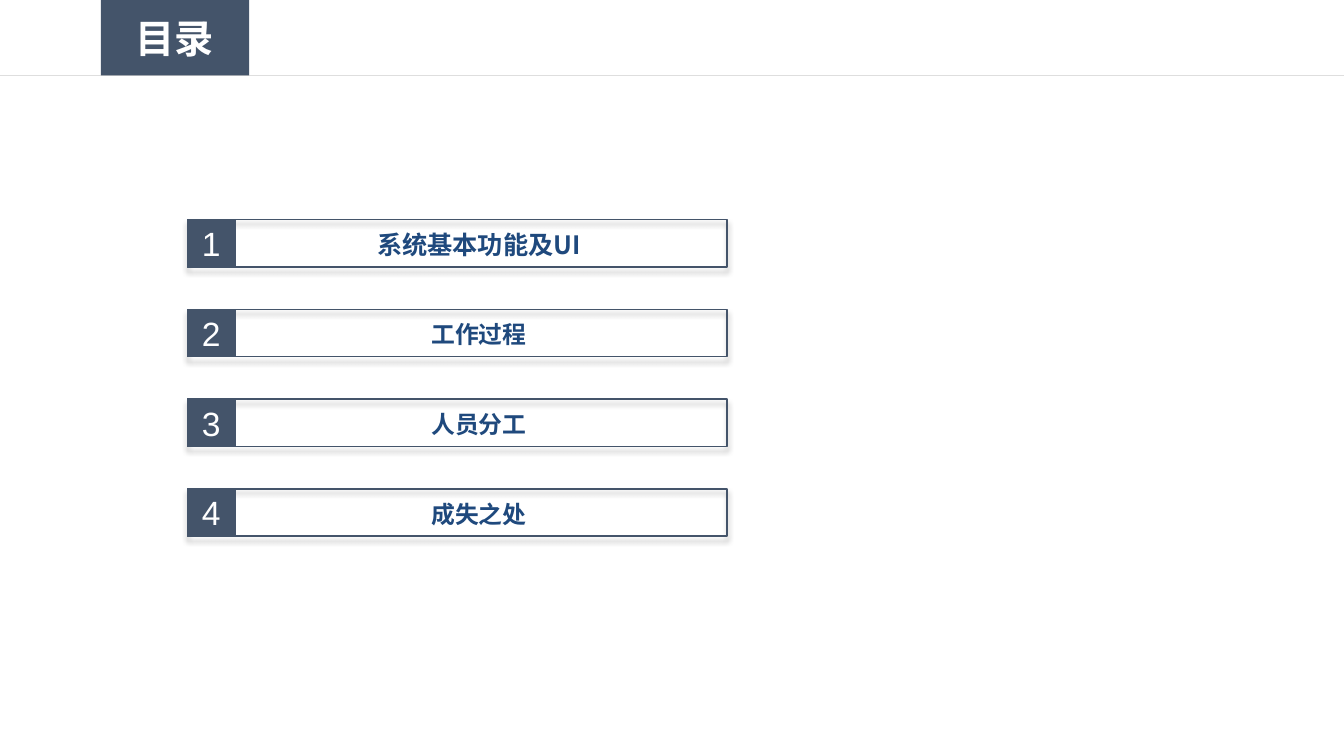
from dataclasses import dataclass

from lxml.etree import SubElement
from pptx import Presentation
from pptx.dml.color import RGBColor as Rgb
from pptx.enum.shapes import MSO_CONNECTOR as Link, MSO_SHAPE as Kind
from pptx.enum.text import MSO_ANCHOR as Anchor, MSO_AUTO_SIZE as Fit, PP_ALIGN as Align
from pptx.oxml.ns import qn
from pptx.shapes.autoshape import Shape
from pptx.util import Inches, Pt

HUES = {"slate": "44546A", "blue": "1F497D", "white": "FFFFFF", "rule": "BFBFBF"}
HAN = "Noto Sans CJK SC"
LEFT, TOP, STEP = 1.86, 2.18, 0.89
WIDTH, SIDE = 5.35, 0.47


@dataclass
class Entry:
    label: str
    size: int = 17


@dataclass
class Style:
    font: str
    size: int
    hue: str
    bold: bool = False


def color(name: str) -> Rgb:
    return Rgb.from_string(HUES[name])


def write(shape: Shape, text: str, style: Style) -> None:
    """Put one centred line of text in a shape."""
    frame = shape.text_frame
    frame.text = text
    frame.word_wrap = True
    frame.auto_size = Fit.NONE
    frame.vertical_anchor = Anchor.MIDDLE
    para = frame.paragraphs[0]
    para.alignment = Align.CENTER
    run = para.runs[0]
    font = run.font
    font.name, font.size, font.bold = style.font, Pt(style.size), style.bold
    font.color.rgb = color(style.hue)
    SubElement(font._element, qn("a:ea"), typeface=style.font)


def add_box(group, top: float, width: float, filled: bool) -> Shape:
    """Draw an outlined rectangle at the left edge of the list."""
    box = group.shapes.add_shape(
        Kind.RECTANGLE, Inches(LEFT), Inches(top), Inches(width), Inches(SIDE))
    if filled:
        box.fill.solid()
        box.fill.fore_color.rgb = color("slate")
    else:
        box.fill.background()
    box.line.color.rgb = color("slate")
    box.line.width = Pt(1)
    box.shadow.inherit = False
    return box


def add_shade(box: Shape) -> None:
    """Give a box a soft shadow straight below it."""
    effects = box._element.spPr.find(qn("a:effectLst"))
    shade = SubElement(effects, qn("a:outerShdw"), blurRad=str(Pt(4)), dist=str(Pt(3)),
                       dir="5400000", algn="t", rotWithShape="0")
    black = SubElement(shade, qn("a:srgbClr"), val="000000")
    SubElement(black, qn("a:alpha"), val="40000")


def add_entry(slide, index: int, entry: Entry) -> None:
    """Draw one numbered line of the contents."""
    top = TOP + index * STEP
    group = slide.shapes.add_group_shape()
    add_shade(add_box(group, top, WIDTH, False))
    badge = add_box(group, top, SIDE, True)
    write(badge, str(index + 1), Style("Arial", 24, "white"))
    label = group.shapes.add_textbox(
        Inches(2.52), Inches(top + 0.05), Inches(4.46), Inches(0.39))
    write(label, entry.label, Style(HAN, entry.size, "blue", True))


def add_title(slide, text: str) -> None:
    """Turn the title placeholder into the header tab."""
    title = slide.shapes.title
    title.left, title.top = Inches(1), Inches(0)
    title.width, title.height = Inches(1.47), Inches(0.75)
    title.fill.solid()
    title.fill.fore_color.rgb = color("slate")
    write(title, text, Style(HAN, 28, "white", True))


def add_rule(slide) -> None:
    """Draw the half-transparent line below the header."""
    rule = slide.shapes.add_connector(
        Link.STRAIGHT, Inches(0), Inches(0.75), Inches(13.33), Inches(0.75))
    rule.line.color.rgb = color("rule")
    rule.line.width = Pt(0.5)
    props = rule._element.spPr
    SubElement(props.find(".//" + qn("a:srgbClr")), qn("a:alpha"), val="50000")
    SubElement(props, qn("a:effectLst"))


def main() -> None:
    deck = Presentation()
    deck.slide_width, deck.slide_height = Inches(13.33), Inches(7.5)
    slide = deck.slides.add_slide(deck.slide_layouts[5])

    # Header
    add_title(slide, "目录")
    add_rule(slide)

    # Contents
    entries = [Entry("系统基本功能及UI", 18), Entry("工作过程"),
               Entry("人员分工"), Entry("成失之处")]
    for index, entry in enumerate(entries):
        add_entry(slide, index, entry)

    deck.save("out.pptx")


if __name__ == "__main__":
    main()
